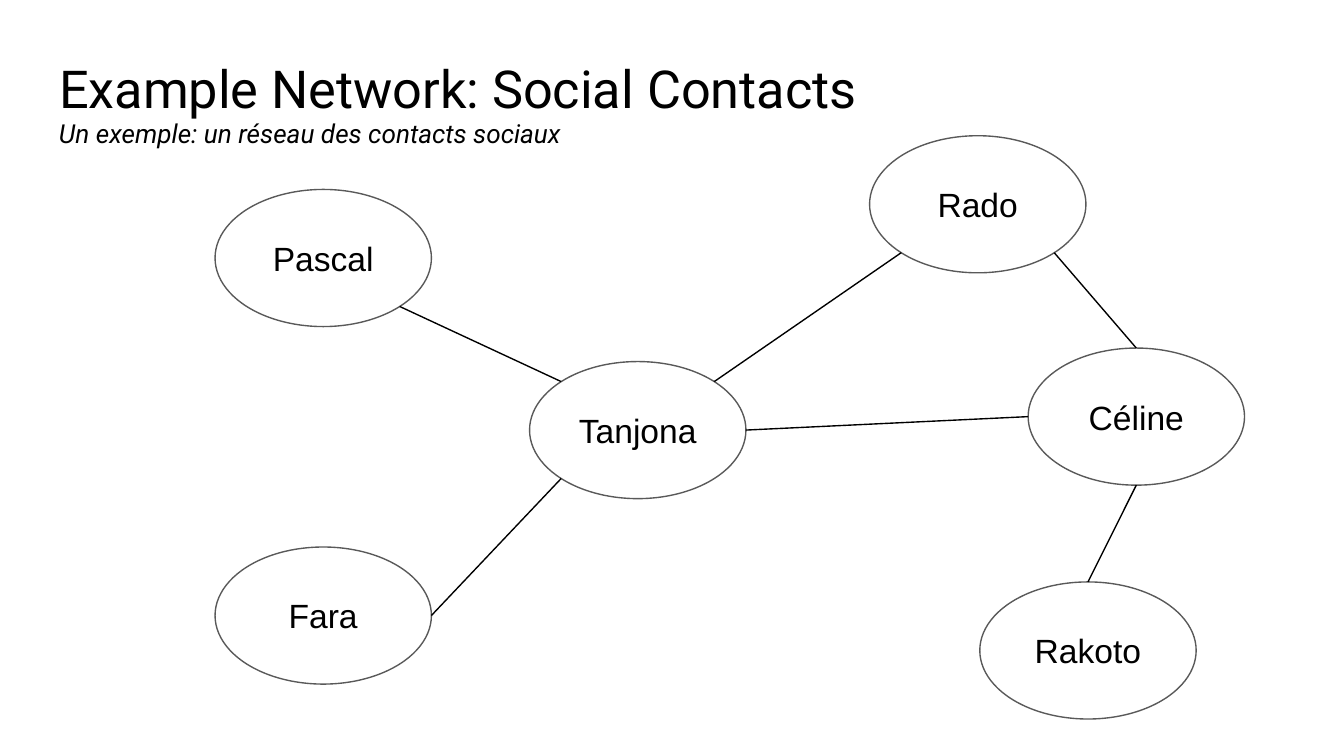
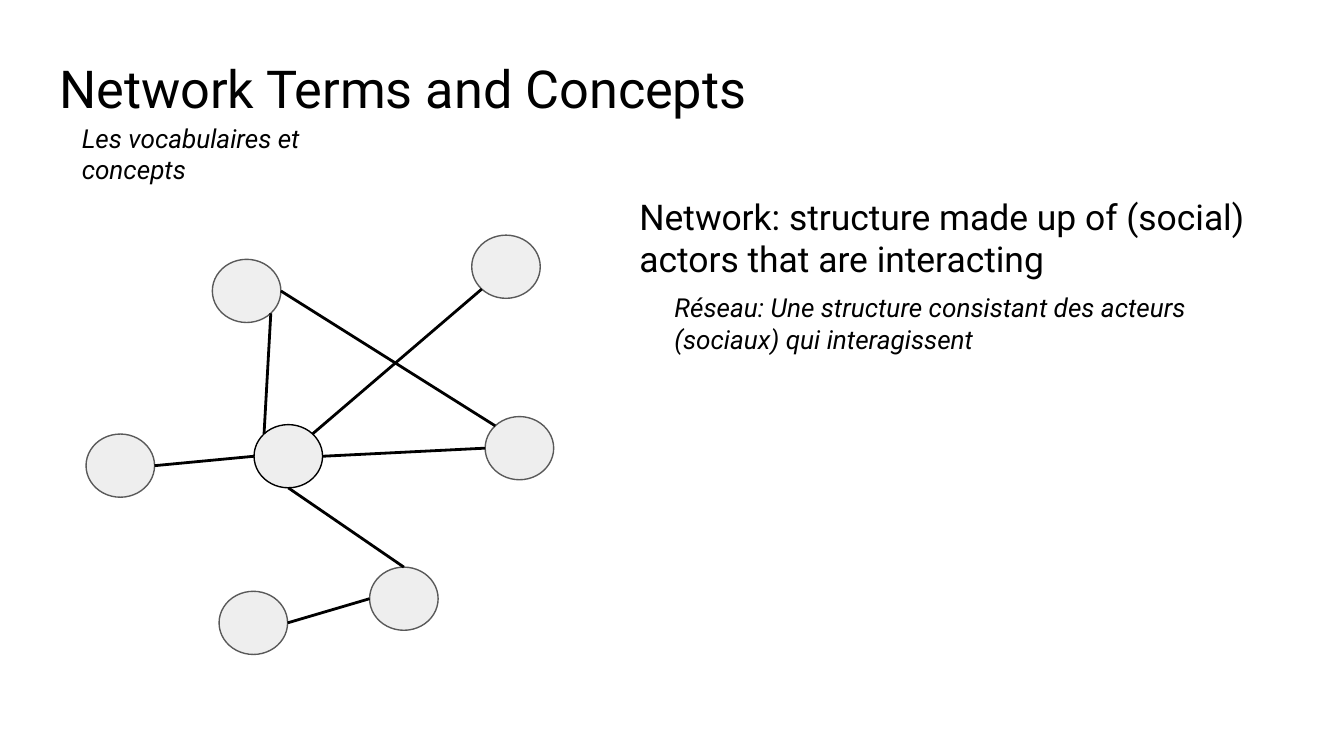
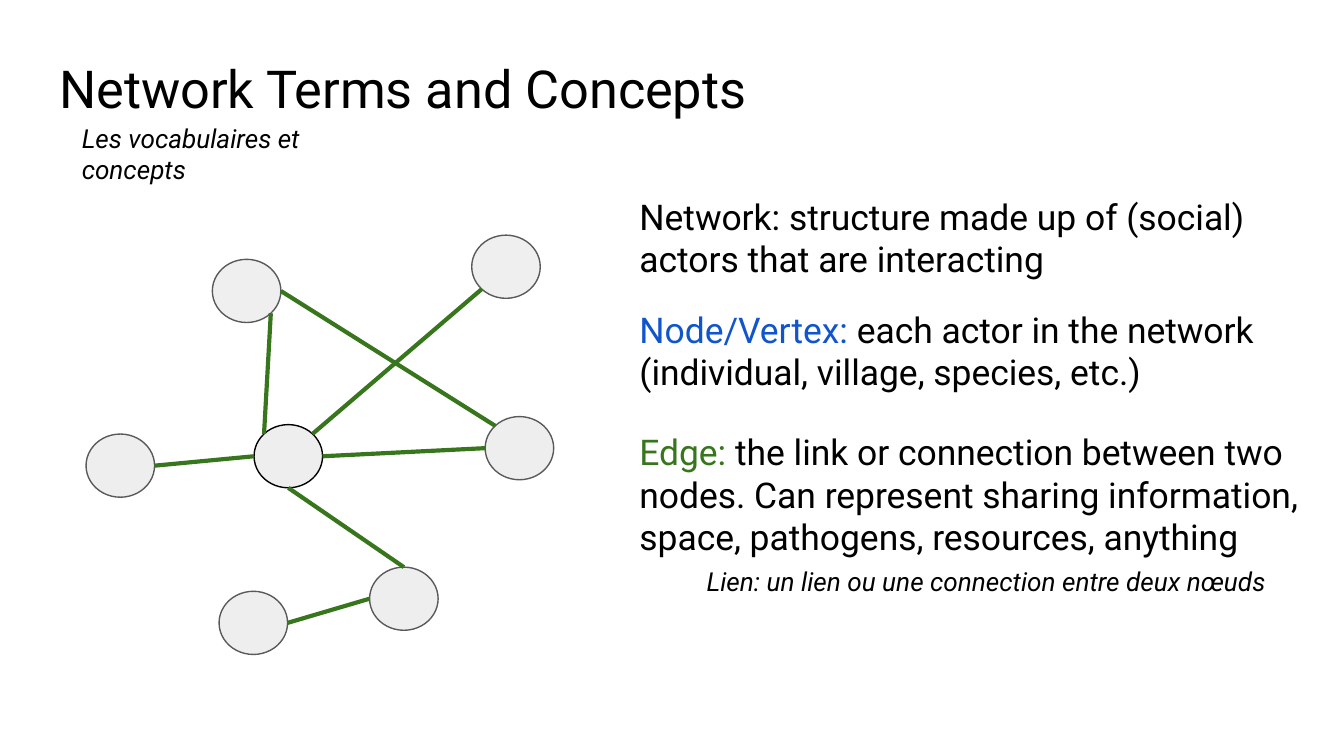
from math import cos, radians, sin

from lxml.etree import SubElement
from pptx import Presentation
from pptx.dml.color import RGBColor
from pptx.enum.shapes import MSO_CONNECTOR, MSO_SHAPE
from pptx.enum.text import MSO_ANCHOR, MSO_AUTO_SIZE, PP_ALIGN
from pptx.oxml.ns import qn
from pptx.util import Inches, Pt

BLACK, WHITE, GRAY = "000000", "FFFFFF", "595959"
BLUE, GREEN = "1155CC", "38761D"
LIGHT, LIGHTER = "EEEEEE", "EFEFEF"
BODY_FONT, LABEL_FONT = "Roboto", "Arial"

# Angles of the points on an ellipse where edges end, clockwise from the right
SITES = {"right": 0, "bottom right": 45, "bottom": 90, "bottom left": 135,
         "left": 180, "top left": 225, "top": 270, "top right": 315}

# Contact name: offset within the network
CONTACTS = {"Tanjona": (2.34, 1.68), "Rado": (4.87, 0), "Céline": (6.05, 1.58),
            "Fara": (0, 3.06), "Pascal": (0, 0.4), "Rakoto": (5.69, 3.32)}
CONTACT_EDGES = [
    ("Pascal", "bottom right", "Tanjona", "top left"),
    ("Fara", "right", "Tanjona", "bottom left"),
    ("Céline", "left", "Tanjona", "right"),
    ("Rado", "bottom left", "Tanjona", "top right"),
    ("Rado", "bottom right", "Céline", "top"),
    ("Céline", "bottom", "Rakoto", "top"),
]

# Node: offset within the network, fill, outline
TERM_NODES = {
    "hub": (1.25, 1.41, LIGHT, BLACK),
    "upper left": (0.94, 0.18, LIGHTER, GRAY),
    "upper right": (2.87, 0, LIGHTER, GRAY),
    "lower left": (0.99, 2.65, LIGHT, GRAY),
    "lower right": (2.11, 2.47, LIGHT, GRAY),
    "far right": (2.97, 1.35, LIGHT, GRAY),
    "far left": (0, 1.48, LIGHT, GRAY),
}
TERM_EDGES = [
    ("upper left", "bottom right", "hub", "top left"),
    ("hub", "top right", "upper right", "bottom left"),
    ("lower right", "left", "lower left", "right"),
    ("hub", "bottom", "lower right", "top"),
    ("hub", "right", "far right", "left"),
    ("far left", "right", "hub", "left"),
    ("upper left", "right", "far right", "top left"),
]


def rgb(color):
    return RGBColor.from_string(color)


def format_run(r, size, color=BLACK, font=BODY_FONT, italic=None):
    r.font.size, r.font.name, r.font.italic = Pt(size), font, italic
    r.font.color.rgb = rgb(color)


def set_insets(tf):
    tf.margin_left = tf.margin_right = tf.margin_top = tf.margin_bottom = Inches(0.1)


def format_title_layout(layout):
    """Place the title once, for every slide that uses the layout."""
    title = next(ph for ph in layout.placeholders if ph.placeholder_format.idx == 0)
    title.left, title.top = Inches(0.34), Inches(0.32)
    title.width, title.height = Inches(9.32), Inches(0.63)


def add_titled_slide(prs, title):
    s = prs.slides.add_slide(prs.slide_layouts[5])
    tf = s.shapes.title.text_frame
    tf.text = title
    tf.vertical_anchor, tf.auto_size = MSO_ANCHOR.TOP, MSO_AUTO_SIZE.NONE
    set_insets(tf)
    p = tf.paragraphs[0]
    p.alignment = PP_ALIGN.LEFT
    format_run(p.runs[0], 28)
    return s


def add_text(s, box, size, *parts, italic=None):
    """Add one paragraph made of (text, color) parts."""
    tf = s.shapes.add_textbox(*map(Inches, box)).text_frame
    tf.word_wrap, tf.auto_size = True, MSO_AUTO_SIZE.SHAPE_TO_FIT_TEXT
    set_insets(tf)
    for text, color in parts:
        r = tf.paragraphs[0].add_run()
        r.text = text
        format_run(r, size, color, italic=italic)


def add_translation(s, box, text):
    add_text(s, box, 14, (text, BLACK), italic=True)


def add_definition(s, top, height, *parts):
    add_text(s, (4.66, top, 5.17, height), 19, *parts)


def add_node(shapes, box, fill, outline, label=""):
    sp = shapes.add_shape(MSO_SHAPE.OVAL, *map(Inches, box))
    sp.shadow.inherit = False
    sp.fill.solid()
    sp.fill.fore_color.rgb = rgb(fill)
    sp.line.color.rgb, sp.line.width = rgb(outline), Pt(0.75)
    if label:
        tf = sp.text_frame
        tf.text = label
        tf.vertical_anchor = MSO_ANCHOR.MIDDLE
        set_insets(tf)
        p = tf.paragraphs[0]
        p.alignment = PP_ALIGN.CENTER
        format_run(p.runs[0], 18, font=LABEL_FONT)
    return sp


def get_site(node, site):
    angle = radians(SITES[site])
    return (int(node.left + node.width / 2 * (1 + cos(angle))),
            int(node.top + node.height / 2 * (1 + sin(angle))))


def add_edges(shapes, nodes, edges, color, width):
    for start, start_site, end, end_site in edges:
        line = shapes.add_connector(MSO_CONNECTOR.STRAIGHT,
                                    *get_site(nodes[start], start_site),
                                    *get_site(nodes[end], end_site))
        line.line.color.rgb, line.line.width = rgb(color), Pt(width)
        SubElement(line._element.spPr, qn("a:effectLst"))


def add_contact_network(shapes, left, top):
    nodes = {name: add_node(shapes, (left + x, top + y, 1.61, 1.02), WHITE, GRAY, name)
             for name, (x, y) in CONTACTS.items()}
    add_edges(shapes, nodes, CONTACT_EDGES, BLACK, 0.75)


def add_term_network(shapes, left, top, edge_color, edge_width):
    nodes = {name: add_node(shapes, (left + x, top + y, 0.51, 0.47), fill, outline)
             for name, (x, y, fill, outline) in TERM_NODES.items()}
    add_edges(shapes, nodes, TERM_EDGES, edge_color, edge_width)


def add_contacts_slide(prs):
    s = add_titled_slide(prs, "Example Network: Social Contacts")
    add_contact_network(s.shapes, 1.6, 1.01)
    add_translation(s, (0.34, 0.77, 7.29, 0.44),
                    "Un exemple: un réseau des contacts sociaux")


def add_terms_slide(prs):
    """Add what both slides of terms share."""
    s = add_titled_slide(prs, "Network Terms and Concepts")
    add_translation(s, (0.51, 0.81, 2.31, 0.44), "Les vocabulaires et concepts")
    add_definition(s, 1.35, 0.84, (
        "Network: structure made up of (social) actors that are interacting", BLACK))
    return s


def add_network_term_slide(prs):
    s = add_terms_slide(prs)
    add_term_network(s.shapes.add_group_shape().shapes, 0.64, 1.75, BLACK, 1.5)
    add_translation(s, (4.92, 2.07, 4.67, 0.67),
                    "Réseau: Une structure consistant des acteurs (sociaux) qui interagissent")


def add_edge_term_slide(prs):
    s = add_terms_slide(prs)
    add_term_network(s.shapes, 0.64, 1.75, GREEN, 2.25)
    add_definition(s, 2.19, 0.84, ("Node/Vertex:", BLUE), (
        " each actor in the network (individual, village, species, etc.)", BLACK))
    add_definition(s, 3.1, 1.16, ("Edge:", GREEN), (
        " the link or connection between two nodes. Can represent sharing "
        "information, space, pathogens, resources, anything", BLACK))
    add_translation(s, (5.16, 4.11, 4.67, 0.44),
                    "Lien: un lien ou une connection entre deux nœuds")


def main():
    prs = Presentation()
    prs.slide_width = Inches(10)
    prs.slide_height = prs.slide_width * 9 // 16
    format_title_layout(prs.slide_layouts[5])
    add_contacts_slide(prs)
    add_network_term_slide(prs)
    add_edge_term_slide(prs)
    prs.save("out.pptx")


if __name__ == "__main__":
    main()
